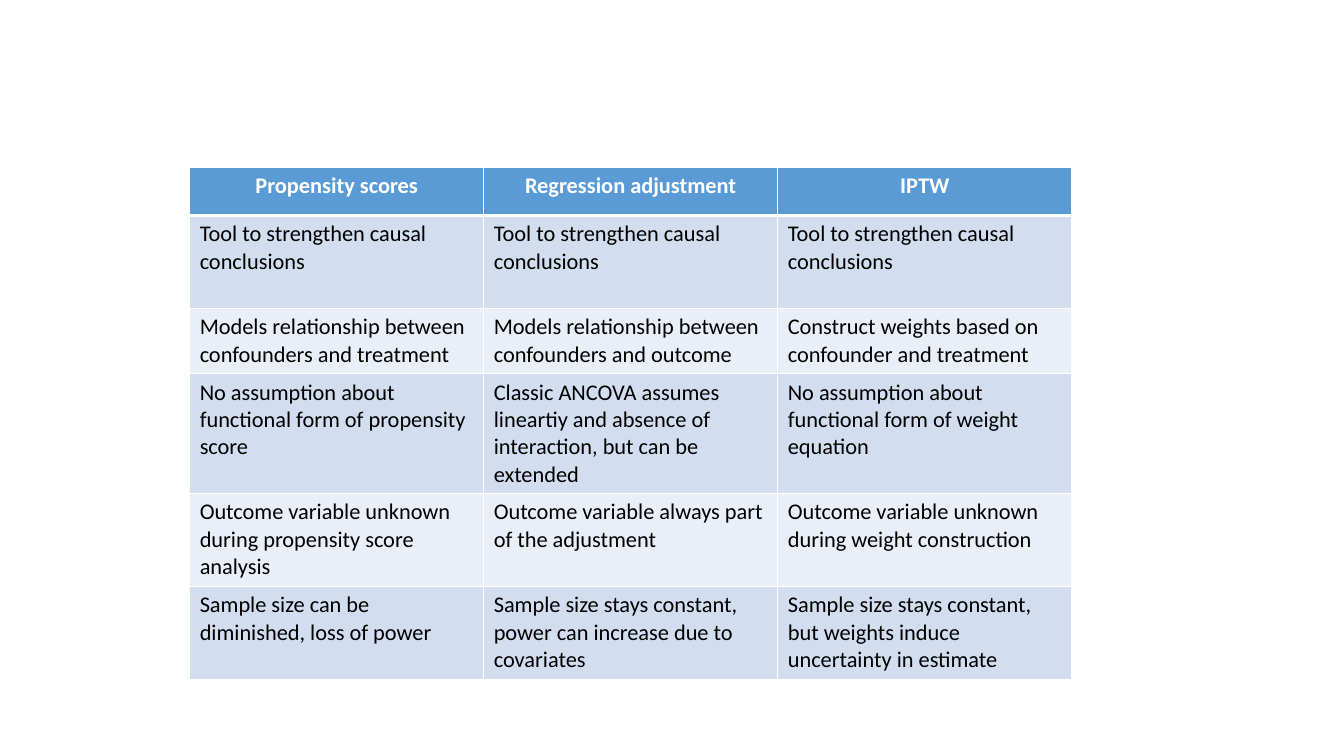
import pptx
import pptx.dml.color
import pptx.enum.text
import pptx.oxml
import pptx.oxml.ns
import pptx.util
from pptx.util import Cm

COLORS = {
    "head": "5B9BD5",
    "odd": "D2DEEF",
    "even": "EAEFF7",
    "line": "FFFFFF",
    "light": "FFFFFF",
    "dark": "000000",
}
ALIGN = pptx.enum.text.PP_ALIGN
LEFT, TOP, WIDTH = 4.78, 4.22, 7.41
HEIGHTS = [1.21, 2.34, 1.65, 3.01, 2.34, 2.34]
ROWS = [
    ["Propensity scores", "Regression adjustment", "IPTW"],
    ["Tool to strengthen causal conclusions"] * 3,
    ["Models relationship between confounders and treatment",
     "Models relationship between confounders and outcome",
     "Construct weights based on confounder and treatment"],
    ["No assumption about functional form of propensity score",
     "Classic ANCOVA assumes lineartiy and absence of interaction, "
     "but can be extended",
     "No assumption about functional form of weight equation"],
    ["Outcome variable unknown during propensity score analysis",
     "Outcome variable always part of the adjustment",
     "Outcome variable unknown during weight construction"],
    ["Sample size can be diminished, loss of power",
     "Sample size stays constant, power can increase due to covariates",
     "Sample size stays constant, but weights induce uncertainty in estimate"],
]


def rgb(name):
    return pptx.dml.color.RGBColor.from_string(COLORS[name])


def write(frame, text, color="dark", bold=False, align=ALIGN.LEFT, size=16):
    para = frame.paragraphs[0]
    para.alignment = align
    run = para.add_run()
    run.text = text
    run.font.name = "Calibri"
    run.font.size = pptx.util.Pt(size)
    run.font.bold = bold
    run.font.color.rgb = rgb(color)


def edge(cell, side, width):
    """Draw one cell border; side is L, R, T or B and width is in points."""
    cell._tc.get_or_add_tcPr().append(pptx.oxml.parse_xml(
        f'<a:ln{side} {pptx.oxml.ns.nsdecls("a")} w="{pptx.util.Pt(width)}">'
        f'<a:solidFill><a:srgbClr val="{COLORS["line"]}"/></a:solidFill>'
        f'</a:ln{side}>'))


def style(cell, row):
    """Give a cell its borders and the fill of its row."""
    for side in "LRTB":
        thick = (row, side) in ((0, "B"), (1, "T"))
        edge(cell, side, 3 if thick else 1)
    band = "odd" if row % 2 else "even"
    cell.fill.solid()
    cell.fill.fore_color.rgb = rgb(band if row else "head")


def grid(slide):
    count = len(ROWS[0])
    table = slide.shapes.add_table(
        len(ROWS), count, Cm(LEFT), Cm(TOP),
        Cm(WIDTH * count), Cm(sum(HEIGHTS))).table
    for column in table.columns:
        column.width = Cm(WIDTH)
    for row, (height, texts) in enumerate(zip(HEIGHTS, ROWS)):
        table.rows[row].height = Cm(height)
        look = {} if row else {
            "color": "light", "bold": True, "align": ALIGN.CENTER}
        for col, text in enumerate(texts):
            cell = table.cell(row, col)
            style(cell, row)
            write(cell.text_frame, text, **look)


def main():
    deck = pptx.Presentation()
    deck.slide_width, deck.slide_height = Cm(33.87), Cm(19.05)
    slide = deck.slides.add_slide(deck.slide_layouts[6])
    grid(slide)
    deck.save("out.pptx")


if __name__ == "__main__":
    main()
